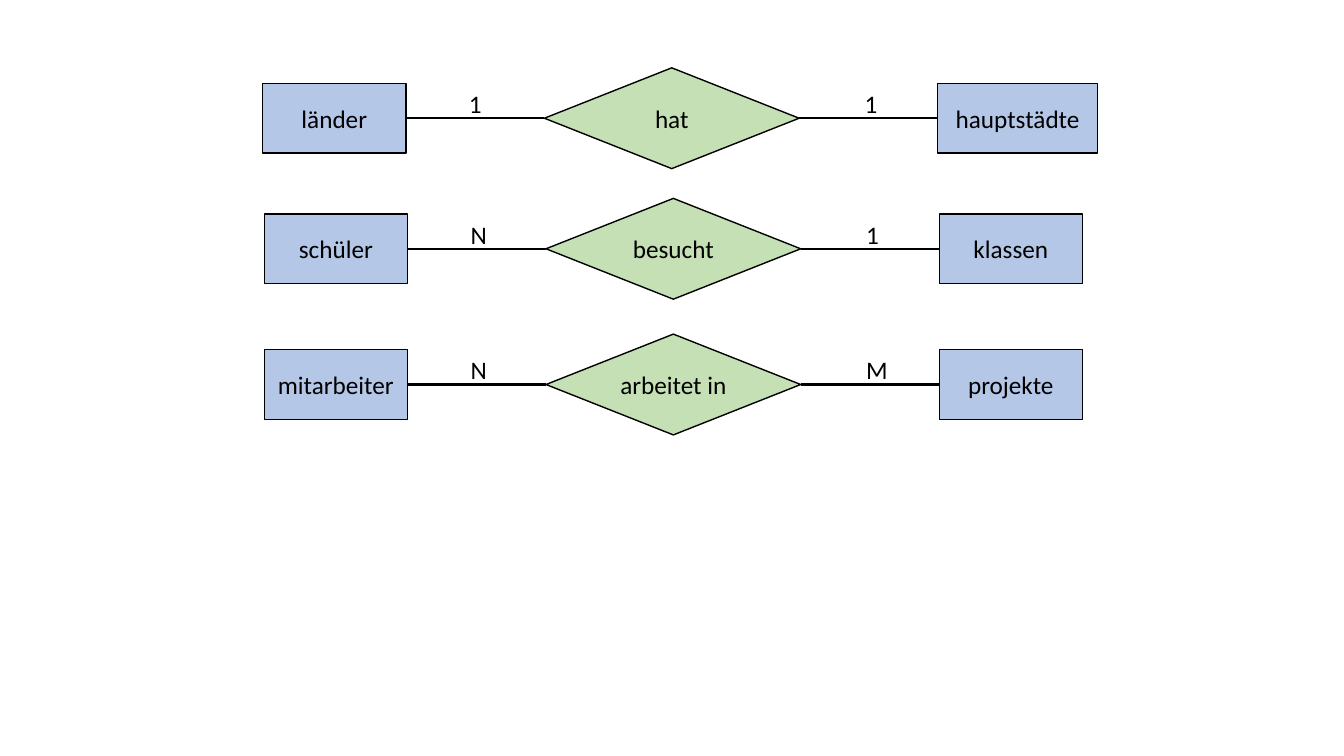
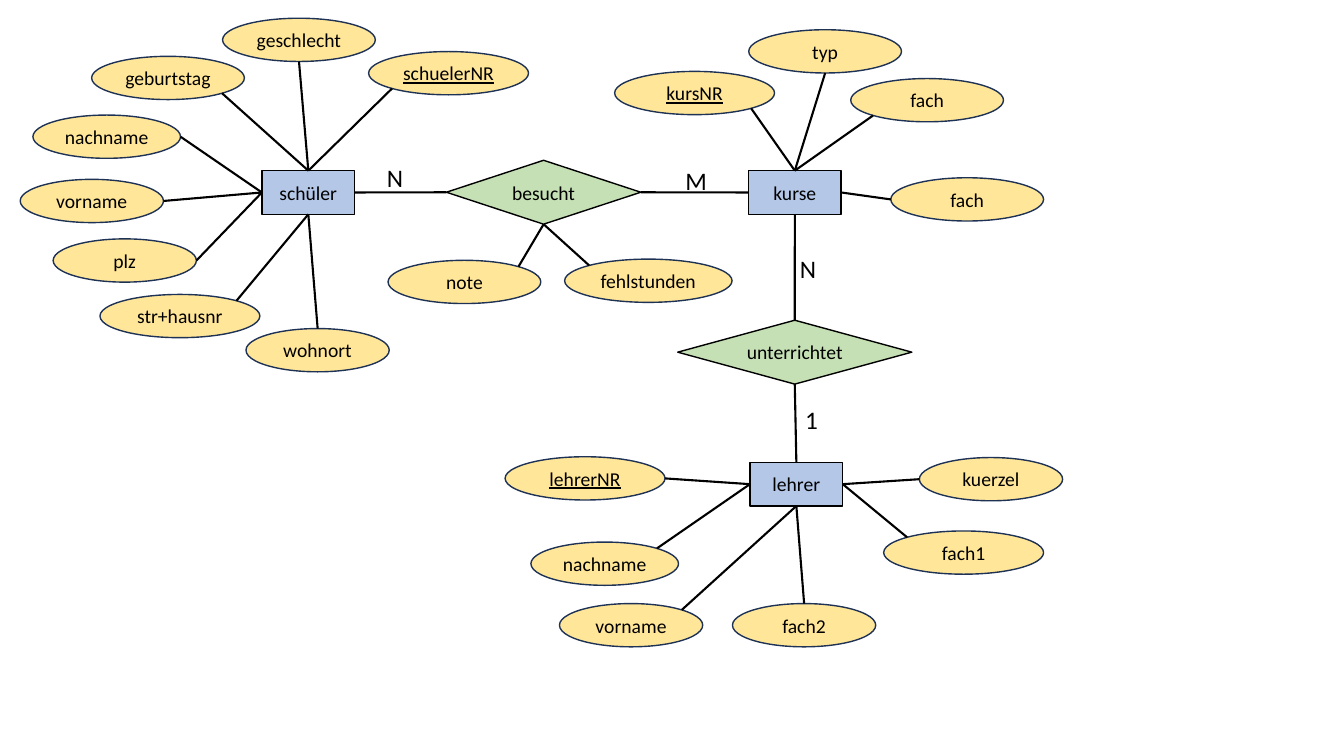
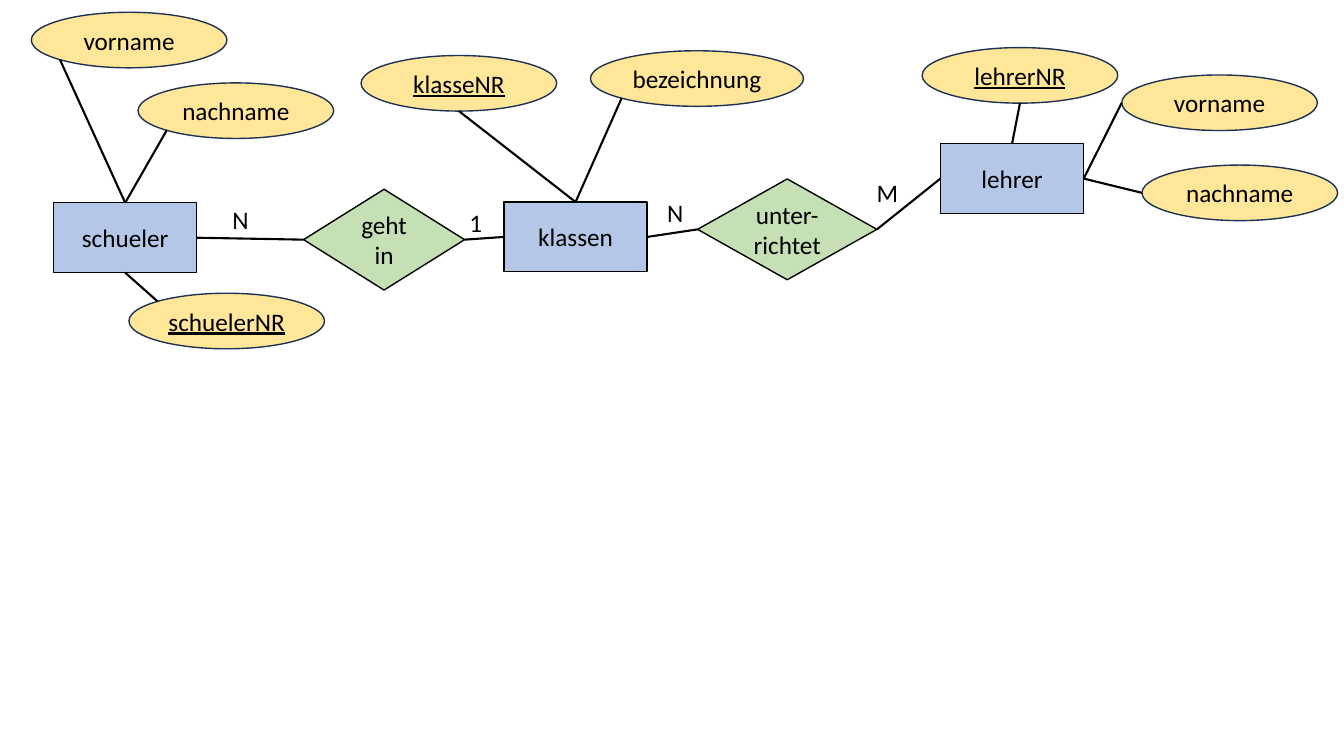
from dataclasses import dataclass
from enum import Enum
from math import sqrt

from lxml.etree import SubElement
from pptx import Presentation
from pptx.dml.color import RGBColor
from pptx.enum.shapes import MSO_CONNECTOR as Connector, MSO_SHAPE as Preset
from pptx.enum.text import MSO_ANCHOR as Anchor, MSO_AUTO_SIZE as AutoSize, PP_ALIGN as Align
from pptx.oxml.ns import qn
from pptx.shapes.autoshape import Shape
from pptx.slide import Slide
from pptx.text.text import TextFrame
from pptx.util import Cm, Pt

# Shared look
BLACK = RGBColor(0x00, 0x00, 0x00)
ENTITY_BLUE = RGBColor(0xB4, 0xC7, 0xE7)
RELATION_GREEN = RGBColor(0xC5, 0xE0, 0xB4)
ATTRIBUTE_YELLOW = RGBColor(0xFF, 0xE6, 0x99)
ATTRIBUTE_EDGE = RGBColor(0x1E, 0x32, 0x56)
FONT = "Calibri"
CARDINALITY_SIZE = 18


class Site(Enum):
    """Connection sites, in the order an ellipse numbers them."""
    TOP = (0, -1)
    TOP_LEFT = (-1, -1)
    LEFT = (-1, 0)
    BOTTOM_LEFT = (-1, 1)
    BOTTOM = (0, 1)
    BOTTOM_RIGHT = (1, 1)
    RIGHT = (1, 0)
    TOP_RIGHT = (1, -1)


SITES = list(Site)


class Kind(Enum):
    ENTITY = (Preset.RECTANGLE, ENTITY_BLUE, BLACK)
    RELATION = (Preset.DIAMOND, RELATION_GREEN, BLACK)
    ATTRIBUTE = (Preset.OVAL, ATTRIBUTE_YELLOW, ATTRIBUTE_EDGE)


# Diagram parts; all lengths in centimetres
@dataclass(frozen=True)
class Scale:
    font_size: int
    entity_width: float
    attribute_width: float
    heights: dict[Kind, float]


@dataclass(frozen=True)
class Attribute:
    text: str
    left: float
    top: float
    owner_site: Site
    own_site: Site
    width: float | None = None
    is_key: bool = False


@dataclass(frozen=True)
class Node:
    kind: Kind
    text: str
    left: float
    top: float
    width: float | None = None
    attributes: tuple[Attribute, ...] = ()


@dataclass(frozen=True)
class Link:
    start: str
    start_site: Site
    end: str
    end_site: Site
    cardinality: str
    left: float
    top: float


@dataclass(frozen=True)
class Diagram:
    scale: Scale
    nodes: list[Node]
    links: list[Link]


LARGE = Scale(18, 3.61, 4.93, {Kind.ENTITY: 1.76, Kind.RELATION: 2.54, Kind.ATTRIBUTE: 1.4})
SMALL = Scale(14, 2.34, 3.61, {Kind.ENTITY: 1.1, Kind.RELATION: 1.61, Kind.ATTRIBUTE: 1.09})


# Drawing
def style_text(frame: TextFrame, size: int, underline: bool = False) -> None:
    for run in frame.paragraphs[0].runs:
        run.font.name = FONT
        run.font.size = Pt(size)
        run.font.color.rgb = BLACK
        if underline:
            run.font.underline = True


def draw_box(slide: Slide, scale: Scale, kind: Kind, text: str, left: float, top: float,
             width: float, is_key: bool = False) -> Shape:
    preset, fill, edge = kind.value
    box = slide.shapes.add_shape(preset, Cm(left), Cm(top), Cm(width), Cm(scale.heights[kind]))
    box.shadow.inherit = False
    box.fill.solid()
    box.fill.fore_color.rgb = fill
    box.line.color.rgb = edge
    box.line.width = Pt(1)
    frame = box.text_frame
    frame.text = text
    frame.word_wrap = True
    frame.vertical_anchor = Anchor.MIDDLE
    frame.paragraphs[0].alignment = Align.CENTER
    style_text(frame, scale.font_size, is_key)
    return box


def site_point(box: Shape, site: Site) -> tuple[int, int]:
    dx, dy = site.value
    reach = sqrt(0.5) if dx and dy else 1
    return (round(box.left + box.width / 2 * (1 + dx * reach)),
            round(box.top + box.height / 2 * (1 + dy * reach)))


def draw_line(slide: Slide, start: Shape, start_site: Site, end: Shape, end_site: Site) -> None:
    line = slide.shapes.add_connector(
        Connector.STRAIGHT, *site_point(start, start_site), *site_point(end, end_site))
    line.line.color.rgb = BLACK
    line.line.width = Pt(1.5)
    SubElement(line._element.spPr, qn("a:effectLst"))
    # Glue both ends so that the line follows its boxes
    glue = line._element.nvCxnSpPr.cNvCxnSpPr
    for tag, box, site in (("a:stCxn", start, start_site), ("a:endCxn", end, end_site)):
        index = SITES.index(site)
        if box.auto_shape_type != Preset.OVAL:
            index //= 2
        SubElement(glue, qn(tag), id=str(box.shape_id), idx=str(index))


def draw_cardinality(slide: Slide, text: str, left: float, top: float) -> None:
    label = slide.shapes.add_textbox(Cm(left), Cm(top), Cm(0.69), Cm(1.03))
    frame = label.text_frame
    frame.text = text
    frame.word_wrap = True
    frame.auto_size = AutoSize.SHAPE_TO_FIT_TEXT
    style_text(frame, CARDINALITY_SIZE)


def draw_diagram(slide: Slide, diagram: Diagram) -> None:
    scale = diagram.scale
    boxes: dict[str, Shape] = {}
    for node in diagram.nodes:
        box = draw_box(slide, scale, node.kind, node.text, node.left, node.top,
                       node.width or scale.entity_width)
        boxes[node.text] = box
        for item in node.attributes:
            oval = draw_box(slide, scale, Kind.ATTRIBUTE, item.text, item.left, item.top,
                            item.width or scale.attribute_width, item.is_key)
            draw_line(slide, box, item.owner_site, oval, item.own_site)
    for link in diagram.links:
        draw_line(slide, boxes[link.start], link.start_site, boxes[link.end], link.end_site)
        draw_cardinality(slide, link.cardinality, link.left, link.top)


# Slide 1: the three kinds of cardinality, one per row
def cardinality_rows() -> Diagram:
    rows = [
        (6.62, 2.1, "länder", "1", "hat", "1", "hauptstädte", 4.03),
        (6.66, 5.39, "schüler", "N", "besucht", "1", "klassen", None),
        (6.66, 8.81, "mitarbeiter", "N", "arbeitet in", "M", "projekte", None),
    ]
    relation_rise = (LARGE.heights[Kind.RELATION] - LARGE.heights[Kind.ENTITY]) / 2
    nodes: list[Node] = []
    links: list[Link] = []
    for left, top, first, first_count, relation, second_count, second, second_width in rows:
        nodes += [
            Node(Kind.ENTITY, first, left, top),
            Node(Kind.RELATION, relation, left + 7.1, top - relation_rise, 6.42),
            Node(Kind.ENTITY, second, left + 17.01, top, second_width),
        ]
        links += [
            Link(relation, Site.LEFT, first, Site.RIGHT, first_count, left + 4.95, top),
            Link(second, Site.LEFT, relation, Site.RIGHT, second_count, left + 14.92, top),
        ]
    return Diagram(LARGE, nodes, links)


# Slide 2: courses
COURSES = Diagram(
    SMALL,
    [
        Node(Kind.ENTITY, "schüler", 6.6, 4.3, attributes=(
            Attribute("vorname", 0.51, 4.52, Site.LEFT, Site.RIGHT),
            Attribute("schuelerNR", 9.29, 1.3, Site.TOP, Site.BOTTOM_LEFT, 4.03, True),
            Attribute("wohnort", 6.2, 8.28, Site.BOTTOM, Site.TOP),
            Attribute("str+hausnr", 2.52, 7.42, Site.BOTTOM, Site.TOP_RIGHT, 4.03),
            Attribute("plz", 1.34, 6.02, Site.LEFT, Site.RIGHT),
            Attribute("geschlecht", 5.61, 0.46, Site.TOP, Site.BOTTOM, 3.85),
            Attribute("geburtstag", 2.31, 1.42, Site.TOP, Site.BOTTOM_RIGHT, 3.85),
            Attribute("nachname", 0.83, 2.9, Site.LEFT, Site.RIGHT, 3.72),
        )),
        Node(Kind.RELATION, "besucht", 11.25, 4.04, 4.9, (
            Attribute("note", 9.78, 6.56, Site.BOTTOM, Site.TOP_RIGHT, 3.85),
            Attribute("fehlstunden", 14.23, 6.53, Site.BOTTOM, Site.TOP_LEFT, 4.22),
        )),
        Node(Kind.ENTITY, "kurse", 18.86, 4.3, attributes=(
            Attribute("kursNR", 15.49, 1.8, Site.TOP, Site.BOTTOM_RIGHT, 4.03, True),
            Attribute("typ", 18.87, 0.75, Site.TOP, Site.BOTTOM, 3.85),
            Attribute("fach", 21.44, 1.98, Site.TOP, Site.BOTTOM_LEFT, 3.85),
            Attribute("fach", 22.45, 4.48, Site.RIGHT, Site.LEFT, 3.85),
        )),
        Node(Kind.RELATION, "unterrichtet", 17.08, 8.07, 5.9),
        Node(Kind.ENTITY, "lehrer", 18.9, 11.65, attributes=(
            Attribute("lehrerNR", 12.73, 11.51, Site.LEFT, Site.RIGHT, 4.03, True),
            Attribute("nachname", 13.38, 13.66, Site.LEFT, Site.TOP_RIGHT, 3.72),
            Attribute("vorname", 14.1, 15.21, Site.BOTTOM, Site.TOP_RIGHT),
            Attribute("fach2", 18.46, 15.21, Site.BOTTOM, Site.TOP),
            Attribute("fach1", 22.27, 13.38, Site.RIGHT, Site.TOP_LEFT, 4.03),
            Attribute("kuerzel", 23.17, 11.53, Site.RIGHT, Site.LEFT),
        )),
    ],
    [
        Link("besucht", Site.LEFT, "schüler", Site.RIGHT, "N", 9.5, 3.96),
        Link("kurse", Site.LEFT, "besucht", Site.RIGHT, "M", 17.02, 4.04),
        Link("kurse", Site.BOTTOM, "unterrichtet", Site.TOP, "N", 19.91, 6.27),
        Link("lehrer", Site.TOP, "unterrichtet", Site.BOTTOM, "1", 20.04, 10.06),
    ],
)

# Slide 3: classes
CLASSES = Diagram(
    LARGE,
    [
        Node(Kind.ENTITY, "schueler", 1.35, 5.11, attributes=(
            Attribute("schuelerNR", 3.25, 7.39, Site.BOTTOM, Site.TOP_LEFT, is_key=True),
            Attribute("vorname", 0.79, 0.31, Site.TOP, Site.BOTTOM_LEFT),
            Attribute("nachname", 3.48, 2.09, Site.TOP, Site.BOTTOM_LEFT),
        )),
        Node(Kind.RELATION, "geht in", 7.65, 4.77, 4.06),
        Node(Kind.ENTITY, "klassen", 12.7, 5.09, attributes=(
            Attribute("klasseNR", 9.1, 1.4, Site.TOP, Site.BOTTOM, is_key=True),
            Attribute("bezeichnung", 14.88, 1.28, Site.TOP, Site.BOTTOM_LEFT, 5.37),
        )),
        Node(Kind.RELATION, "unter-richtet", 17.58, 4.51, 4.52),
        Node(Kind.ENTITY, "lehrer", 23.7, 3.62, attributes=(
            Attribute("lehrerNR", 23.24, 1.2, Site.TOP, Site.BOTTOM, is_key=True),
            Attribute("vorname", 28.27, 1.89, Site.RIGHT, Site.LEFT),
            Attribute("nachname", 28.78, 4.16, Site.RIGHT, Site.LEFT),
        )),
    ],
    [
        Link("geht in", Site.LEFT, "schueler", Site.RIGHT, "N", 5.61, 5.03),
        Link("klassen", Site.LEFT, "geht in", Site.RIGHT, "1", 11.58, 5.11),
        Link("klassen", Site.RIGHT, "unter-richtet", Site.LEFT, "N", 16.56, 4.85),
        Link("lehrer", Site.LEFT, "unter-richtet", Site.RIGHT, "M", 21.84, 4.34),
    ],
)


def main() -> None:
    deck = Presentation()
    deck.slide_width, deck.slide_height = Cm(33.87), Cm(19.05)
    blank = deck.slide_layouts[6]
    for diagram in (cardinality_rows(), COURSES, CLASSES):
        draw_diagram(deck.slides.add_slide(blank), diagram)
    deck.save("out.pptx")


if __name__ == "__main__":
    main()
